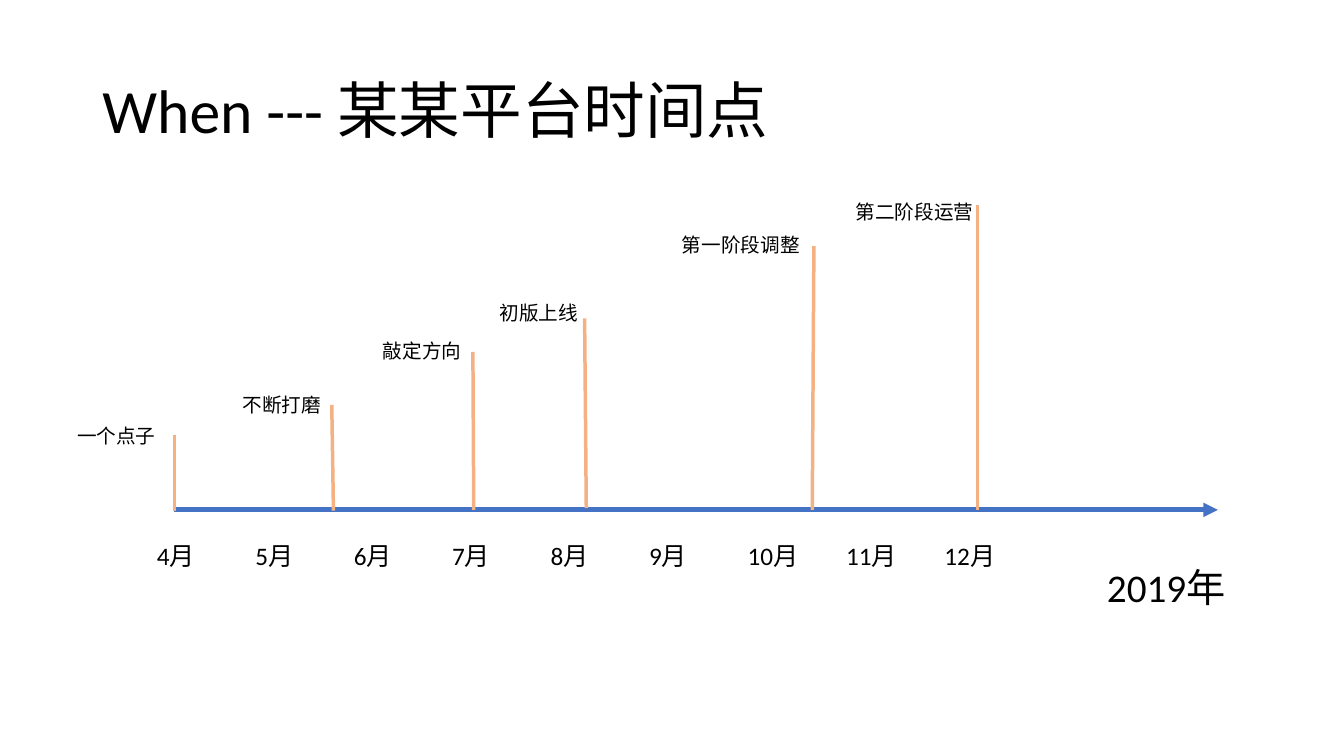
import pptx
import pptx.util
import pptx.dml.color
import pptx.enum.shapes
import pptx.enum.text
import pptx.oxml.ns
import lxml.etree

RGB = pptx.dml.color.RGBColor
BLACK = RGB(0x00, 0x00, 0x00)
BLUE = RGB(0x44, 0x72, 0xC4)
PEACH = RGB(0xF4, 0xB1, 0x83)

COLS, ROWS = 160, 90


class Board:
    def __init__(self, deck, font):
        self.font = font
        self.wide = deck.slide_width
        self.high = deck.slide_height
        self.slide = deck.slides.add_slide(deck.slide_layouts[5])

    def col(self, n):
        return round(self.wide * n / COLS)

    def row(self, n):
        return round(self.high * n / ROWS)

    def fill(self, frame, text, size):
        frame.text = text
        frame.word_wrap = True
        para = frame.paragraphs[0]
        para.alignment = pptx.enum.text.PP_ALIGN.LEFT
        for run in para.runs:
            run.font.name = self.font
            run.font.size = pptx.util.Pt(size)
            run.font.color.rgb = BLACK
        return para

    def title(self, text, x, y, w, h):
        shape = self.slide.shapes.title
        shape.left, shape.top = self.col(x), self.row(y)
        shape.width, shape.height = self.col(w), self.row(h)
        para = self.fill(shape.text_frame, text, 44)
        para.line_spacing = 0.9
        shape.text_frame.vertical_anchor = pptx.enum.text.MSO_ANCHOR.MIDDLE

    def label(self, text, x, y, w, h, size):
        box = self.slide.shapes.add_textbox(
            self.col(x), self.row(y), self.col(w), self.row(h))
        self.fill(box.text_frame, text, size)
        box.text_frame.auto_size = pptx.enum.text.MSO_AUTO_SIZE.SHAPE_TO_FIT_TEXT

    def line(self, x1, y1, x2, y2, color, width, arrow=False):
        line = self.slide.shapes.add_connector(
            pptx.enum.shapes.MSO_CONNECTOR.STRAIGHT,
            self.col(x1), self.row(y1), self.col(x2), self.row(y2))
        line.line.color.rgb = color
        line.line.width = pptx.util.Pt(width)
        qn = pptx.oxml.ns.qn
        props = line._element.spPr
        if arrow:
            lxml.etree.SubElement(props.find(qn("a:ln")), qn("a:tailEnd"), type="triangle")
        lxml.etree.SubElement(props, qn("a:effectLst"))


def main():
    deck = pptx.Presentation()
    deck.slide_width = pptx.util.Inches(13.333)
    deck.slide_height = pptx.util.Inches(7.5)
    board = Board(deck, "Calibri")

    board.title("When --- 某某平台时间点", 11, 4.8, 138, 17.4)
    board.line(20.7, 60.7, 145, 60.7, BLUE, 3.5, arrow=True)

    for step, month in enumerate(range(4, 13)):
        width = 7.9 if month < 10 else 9.6
        board.label(f"{month}月", 17.5 + 11.72 * step, 63.7, width, 4.8, 18)
    board.label("2019年", 130.6, 66.5, 18.4, 6.8, 28)

    events = [
        ("一个点子", 20.8, 60.8, 20.8, 51.8, 8, 49.9, 13.4),
        ("不断打磨", 39.7, 60.8, 39.5, 48.2, 27.7, 46.2, 12.1),
        ("敲定方向", 56.4, 60.7, 56.3, 41.9, 44.4, 39.8, 11.9),
        ("初版上线", 69.8, 60.5, 69.6, 37.9, 58.3, 35.2, 11.9),
        ("第一阶段调整", 96.7, 60.7, 96.9, 29.3, 80, 27.2, 16.8),
        ("第二阶段运营", 116.4, 60.7, 116.4, 24.4, 100.7, 23.2, 16.8),
    ]
    for text, x1, y1, x2, y2, left, top, width in events:
        board.line(x1, y1, x2, y2, PEACH, 2.5)
        board.label(text, left, top, width, 4.1, 14)

    deck.save("out.pptx")


if __name__ == "__main__":
    main()
